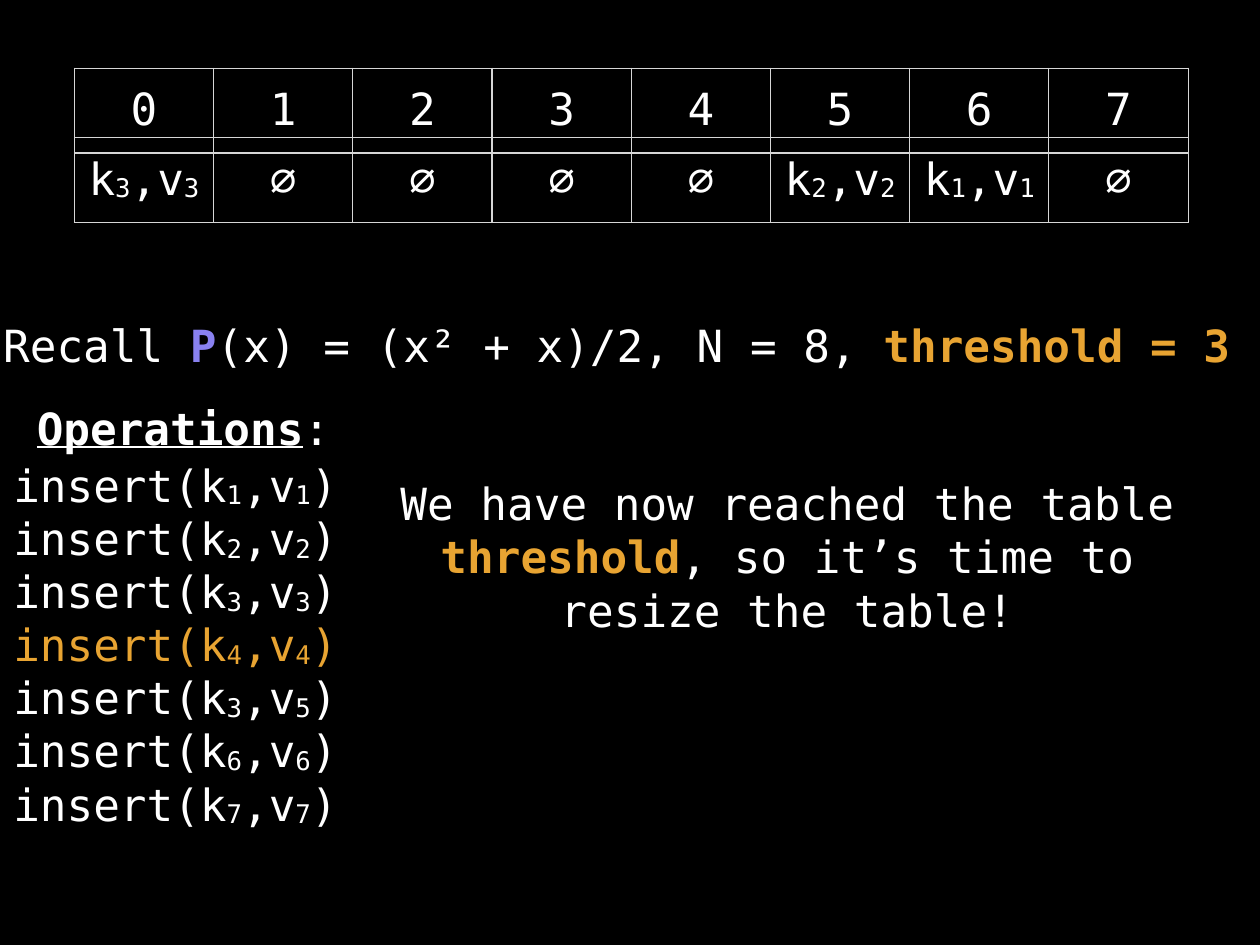
from dataclasses import dataclass

from lxml.etree import SubElement
from pptx import Presentation
from pptx.dml.color import RGBColor
from pptx.enum.text import MSO_ANCHOR as Anchor, PP_ALIGN as Align
from pptx.oxml.ns import qn
from pptx.util import Inches, Pt

SLIDE_WIDTH, SLIDE_HEIGHT = Inches(14.22), Inches(10.67)


@dataclass(frozen=True)
class Theme:
    font: str = "DejaVu Sans Mono"
    size: int = 36
    subscript: str = "-6000"
    inset: float = 0.06
    background: str = "000000"
    text: str = "FFFFFF"
    accent: str = "E8A432"
    function: str = "8981F0"
    border: str = "D6D6D6"
    border_width: int = 1


THEME = Theme()


def share_box(left, top, width, height):
    """Turn percentages of the slide into a box."""
    return (round(SLIDE_WIDTH * left / 100), round(SLIDE_HEIGHT * top / 100),
            round(SLIDE_WIDTH * width / 100), round(SLIDE_HEIGHT * height / 100))


def add_run(paragraph, text, color=THEME.text, bold=False, underline=False):
    run = paragraph.add_run()
    run.text = text
    font = run.font
    font.name, font.size = THEME.font, Pt(THEME.size)
    font.bold, font.underline = bold, underline
    font.color.rgb = RGBColor.from_string(color)
    return run


def add_indexed(paragraph, text, color=THEME.text):
    """Set the character after each underscore as a subscript."""
    first, *others = text.split("_")
    add_run(paragraph, first, color)
    for part in others:
        index = add_run(paragraph, part[0], color)
        index.font._element.set("baseline", THEME.subscript)
        if part[1:]:
            add_run(paragraph, part[1:], color)


def set_insets(target):
    target.margin_left = target.margin_right = Inches(THEME.inset)
    target.margin_top = target.margin_bottom = Inches(THEME.inset)


def add_text_frame(slide, box, wrap=True, anchor=Anchor.MIDDLE):
    text_frame = slide.shapes.add_textbox(*box).text_frame
    text_frame.word_wrap = wrap
    text_frame.vertical_anchor = anchor
    set_insets(text_frame)
    return text_frame


def add_centered(slide, box, runs, wrap=True):
    paragraph = add_text_frame(slide, box, wrap).paragraphs[0]
    paragraph.alignment = Align.CENTER
    for text, style in runs:
        add_run(paragraph, text, **style)


def set_borders(cell):
    properties = cell._tc.get_or_add_tcPr()
    for position, side in enumerate(("lnL", "lnR", "lnT", "lnB")):
        line = SubElement(properties, qn(f"a:{side}"), w=str(Pt(THEME.border_width)))
        fill = SubElement(line, qn("a:solidFill"))
        SubElement(fill, qn("a:srgbClr"), val=THEME.border)
        properties.insert(position, line)


def add_strip(slide, box, entries):
    """One table row with equal columns."""
    table = slide.shapes.add_table(1, len(entries), *box).table
    table.first_row = table.horz_banding = False
    for cell, entry in zip(table.iter_cells(), entries):
        cell.fill.background()
        cell.vertical_anchor = Anchor.MIDDLE
        set_insets(cell)
        set_borders(cell)
        paragraph = cell.text_frame.paragraphs[0]
        paragraph.alignment = Align.CENTER
        add_indexed(paragraph, entry)


def add_hash_table(slide, box, slots):
    """Slot numbers above their contents; the two strips overlap slightly."""
    left, top, width, height = box
    strip_height = round(height * 0.55)
    add_strip(slide, (left, top + height - strip_height, width, strip_height), slots)
    add_strip(slide, (left, top, width, strip_height),
              [str(number) for number in range(len(slots))])


def add_operations(slide, heading_box, list_box, operations, current):
    add_centered(slide, heading_box, [
        ("Operations", dict(bold=True, underline=True)), (":", {})], wrap=False)
    text_frame = add_text_frame(slide, list_box, wrap=False, anchor=Anchor.TOP)
    for number, (key, value) in enumerate(operations):
        paragraph = text_frame.add_paragraph() if number else text_frame.paragraphs[0]
        color = THEME.accent if number == current else THEME.text
        add_indexed(paragraph, f"insert(k_{key},v_{value})", color)


def build_slide(presentation):
    slide = presentation.slides.add_slide(presentation.slide_layouts[6])
    background = slide.background.fill
    background.solid()
    background.fore_color.rgb = RGBColor.from_string(THEME.background)
    highlight = dict(color=THEME.accent, bold=True)

    # Hash table
    add_hash_table(slide, share_box(5.9, 7.2, 88.4, 16.35),
                   ["k_3,v_3", *"∅∅∅∅", "k_2,v_2", "k_1,v_1", "∅"])

    # Probing function and table settings
    add_centered(slide, share_box(-5, 33.27, 110, 6.37), [
        ("Recall ", {}), ("P", dict(color=THEME.function, bold=True)),
        ("(x) = (x² + x)/2, N = 8, ", {}), ("threshold = 3 ", highlight)])

    # Operations, with the current one highlighted
    add_operations(slide, share_box(2.46, 42.08, 24.2, 6.37),
                   share_box(0.63, 47.9, 29.1, 38.4),
                   [(1, 1), (2, 2), (3, 3), (4, 4), (3, 5), (6, 6), (7, 7)], current=3)

    # Explanation
    add_centered(slide, share_box(30.45, 50.33, 64.06, 17.06), [
        ("We have now reached the table ", {}), ("threshold", highlight),
        (", so it’s time to resize the table!", {})])


def main():
    presentation = Presentation()
    presentation.slide_width, presentation.slide_height = SLIDE_WIDTH, SLIDE_HEIGHT
    build_slide(presentation)
    presentation.save("out.pptx")


if __name__ == "__main__":
    main()
